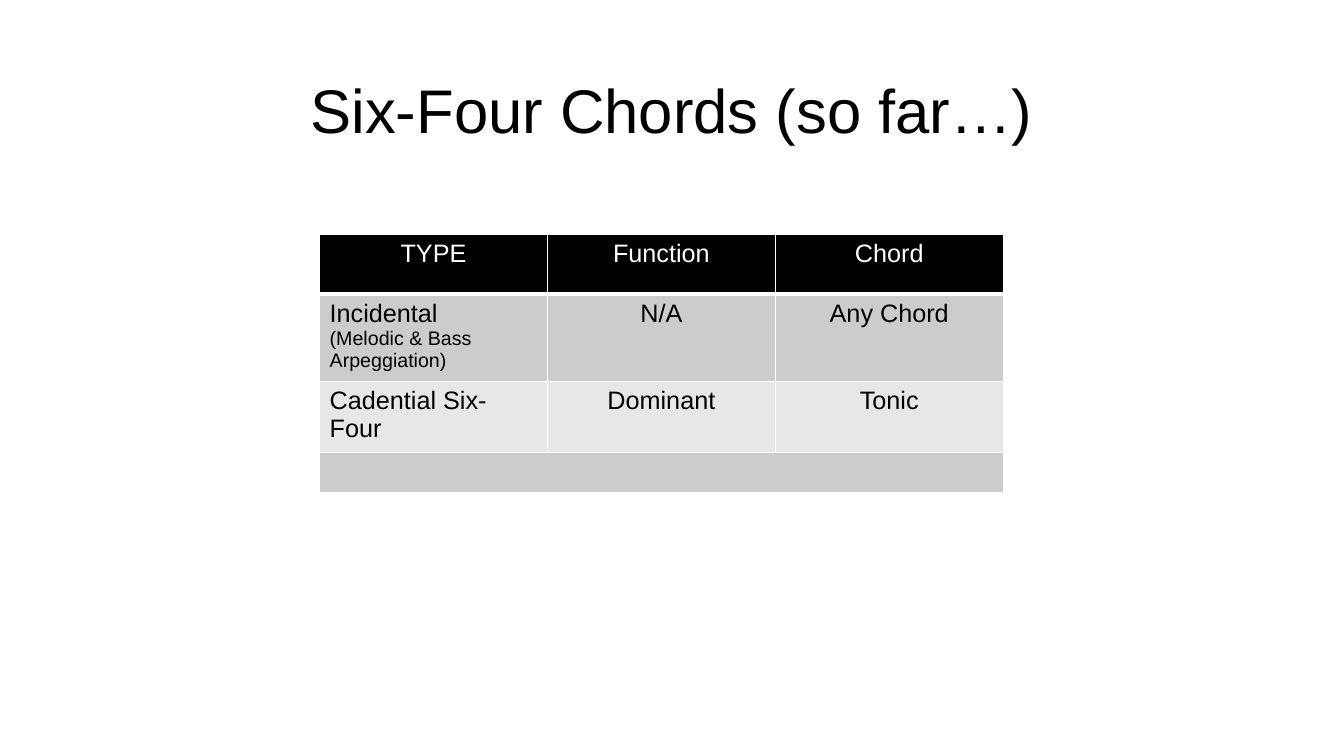
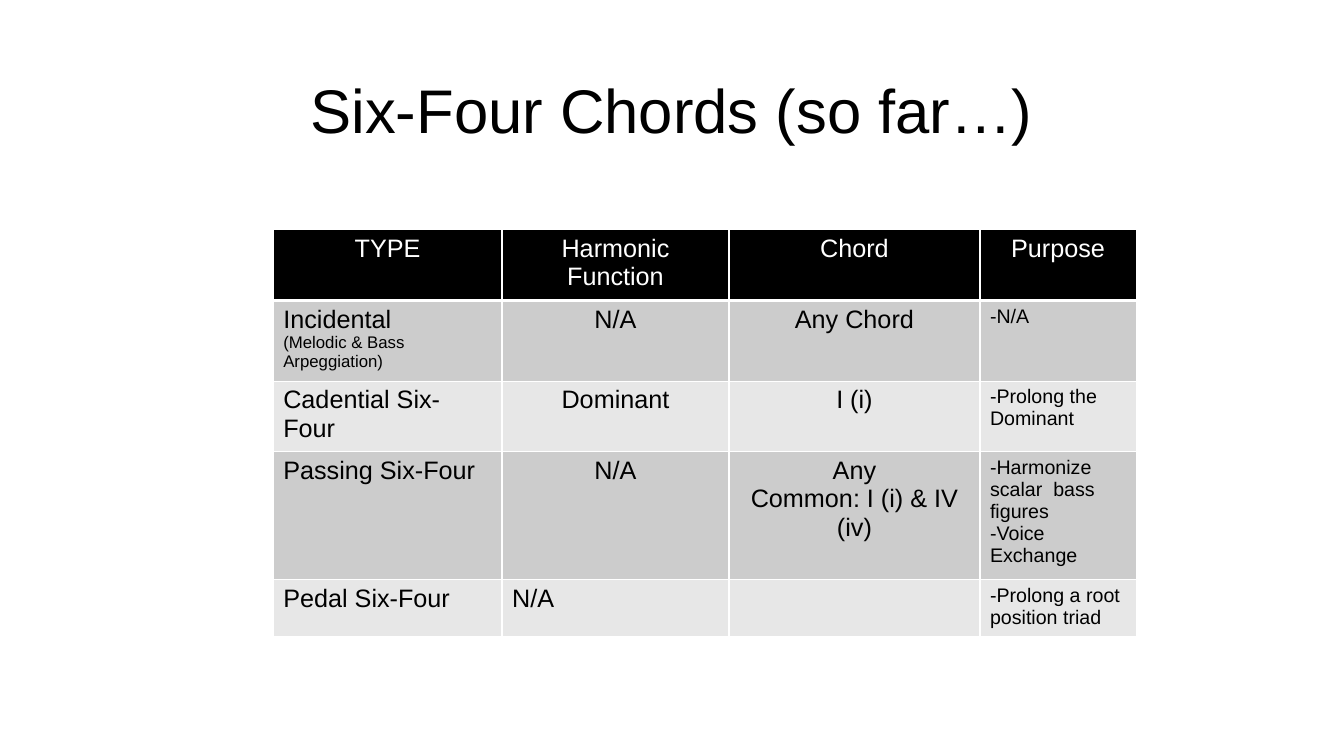
import pptx
import pptx.util
import pptx.dml.color
import pptx.enum.text
import pptx.oxml
import pptx.oxml.ns

# Shared look
WIDE, HIGH = 13.33, 7.5
FONT = "Arial"
BLACK, WHITE = "000000", "FFFFFF"
BANDS = ["E7E7E7", "CCCCCC"]
TITLE = "Six-Four Chords (so far…)"
ALIGN = pptx.enum.text.PP_ALIGN
inch = pptx.util.Inches


def style(para, size, shade, align):
    font = para.font
    font.name, font.size, font.bold = FONT, pptx.util.Pt(size), False
    font.color.rgb = pptx.dml.color.RGBColor.from_string(shade)
    para.alignment = align


def border(cell, side, width):
    line = pptx.oxml.parse_xml(
        f'<a:ln{side} {pptx.oxml.ns.nsdecls("a")} w="{pptx.util.Pt(width)}">'
        f'<a:solidFill><a:srgbClr val="{WHITE}"/></a:solidFill></a:ln{side}>')
    cell._tc.get_or_add_tcPr().append(line)


# Tables: place, columns, rows, size of the bracketed note, cell text
pages = [
    dict(left=3.17, top=2.33, cols=[2.26] * 3,
         rows=[0.59, 0.82, 0.65, 0.37], note=14,
         text=[["TYPE", "Function", "Chord"],
               ["Incidental\n(Melodic & Bass Arpeggiation)", "N/A", "Any Chord"],
               ["Cadential Six-Four", "Dominant", "Tonic"],
               ["", "", ""]]),
    dict(left=2.71, top=2.28, cols=[2.27, 2.25, 2.49, 1.55],
         rows=[0.66, 0.76, 0.65, 1.19, 0.54], note=12,
         text=[["TYPE", "Harmonic Function", "Chord", "Purpose"],
               ["Incidental\n(Melodic & Bass Arpeggiation)", "N/A", "Any Chord",
                "-N/A"],
               ["Cadential Six-Four", "Dominant", "I (i)", "-Prolong the Dominant"],
               ["Passing Six-Four", "N/A", "Any\nCommon: I (i) & IV (iv)",
                "-Harmonize scalar  bass figures\n-Voice Exchange"],
               ["Pedal Six-Four", "N/A", "", "-Prolong a root position triad"]]),
]

deck = pptx.Presentation()
deck.slide_width, deck.slide_height = inch(WIDE), inch(HIGH)
grids = []

for page in pages:
    slide = deck.slides.add_slide(deck.slide_layouts[6])

    # Title, centred across the slide
    span = 11.5
    box = slide.shapes.add_textbox(
        inch((WIDE - span) / 2), inch(0.4), inch(span), inch(1.45))
    frame = box.text_frame
    frame.word_wrap = True
    frame.vertical_anchor = pptx.enum.text.MSO_ANCHOR.MIDDLE
    frame.text = TITLE
    style(frame.paragraphs[0], 44, BLACK, ALIGN.CENTER)
    frame.paragraphs[0].line_spacing = 0.9

    # Table grid
    cols, rows = page["cols"], page["rows"]
    grid = slide.shapes.add_table(
        len(rows), len(cols), inch(page["left"]), inch(page["top"]),
        inch(sum(cols)), inch(sum(rows))).table
    grid.first_row = grid.horz_banding = False
    for col, width in zip(grid.columns, cols):
        col.width = inch(width)
    for row, height in zip(grid.rows, rows):
        row.height = inch(height)
    grids.append(grid)

    # Cells: black head, grey bands, white rules
    for r, line in enumerate(page["text"]):
        for c, text in enumerate(line):
            cell = grid.cell(r, c)
            cell.text = text
            for side in "LRTB":
                thick = (r, side) in [(0, "B"), (1, "T")]
                border(cell, side, 3 if thick else 1)
            cell.fill.solid()
            cell.fill.fore_color.rgb = pptx.dml.color.RGBColor.from_string(
                BANDS[r % 2] if r else BLACK)
            for para in cell.text_frame.paragraphs:
                size = 14 if r and c == 3 else 18
                if para.text.startswith("("):
                    size = page["note"]
                mid = r == 0 or c in (1, 2)
                style(para, size, BLACK if r else WHITE,
                      ALIGN.CENTER if mid else ALIGN.LEFT)

# Exceptions: one joined row, one cell set left
first, second = grids
first.cell(3, 0).merge(first.cell(3, 2))
second.cell(4, 1).text_frame.paragraphs[0].alignment = ALIGN.LEFT

deck.save("out.pptx")
